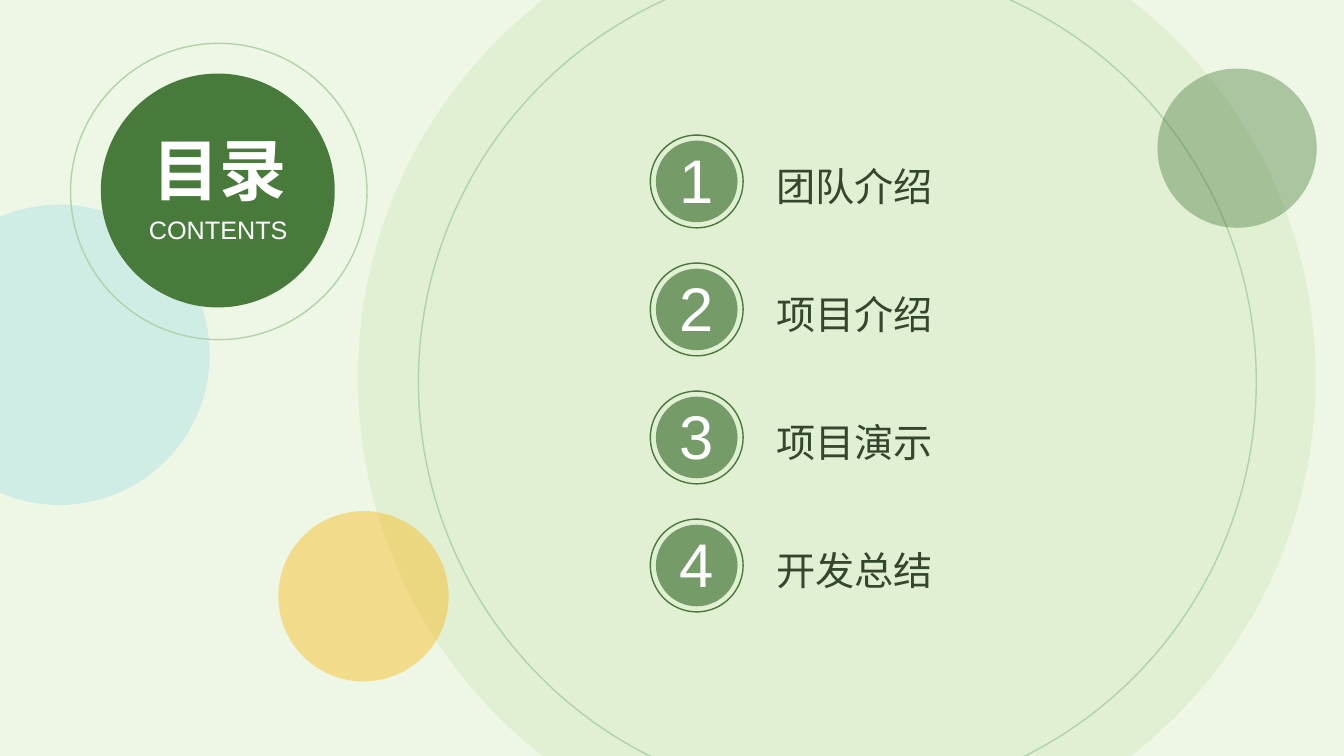
from lxml.etree import SubElement
from pptx import Presentation
from pptx.dml.color import RGBColor
from pptx.enum.shapes import MSO_SHAPE
from pptx.enum.text import MSO_AUTO_SIZE as AutoSize, PP_ALIGN as Align
from pptx.oxml.ns import qn
from pptx.util import Inches, Pt

TOPICS = ["团队介绍", "项目介绍", "项目演示", "开发总结"]
TITLE, SUBTITLE = "目录", "CONTENTS"

THEME = {
    "background": "EEF7E5", "pale": "CBE2B1", "outline": "B0D4A7", "aqua": "B3E5E6",
    "amber": "F9B407", "green": "487A3C", "ink": "33462E", "white": "FFFFFF",
    "latin": "Arial", "heading": "Montserrat", "chinese": "Noto Sans CJK JP",
    "title": 48, "number": 44, "topic": 28, "subtitle": 18, "line": 1,
}

DECORATIONS = [
    (3.55, -1, 9.5, {"fill": "pale", "opacity": 35}),
    (4.15, -0.37, 8.31, {"line": "outline"}),
    (-0.9, 2.03, 2.98, {"fill": "aqua", "opacity": 50}),
    (0.7, 0.43, 2.94, {"line": "outline"}),
    (2.76, 5.07, 1.69, {"fill": "amber", "opacity": 40}),
    (1, 0.73, 2.32, {"fill": "green"}),
    (11.48, 0.68, 1.58, {"fill": "green", "opacity": 40}),
]
ROW_TOP, ROW_PITCH = 1.34, 1.27
RING_LEFT, RING_SIZE, DISC_SIZE = 6.45, 0.92, 0.81
DISC_INSET = (RING_SIZE - DISC_SIZE) / 2


def color(name):
    return RGBColor.from_string(THEME[name])


def add_circle(shapes, left, top, size, fill=None, line=None, opacity=100):
    shape = shapes.add_shape(MSO_SHAPE.OVAL, *map(Inches, (left, top, size, size)))
    shape.shadow.inherit = False
    if fill:
        shape.fill.solid()
        shape.fill.fore_color.rgb = color(fill)
        if opacity < 100:
            fill_color = shape.fill._xPr.find(qn("a:solidFill"))[0]
            SubElement(fill_color, qn("a:alpha"), val=str(opacity * 1000))
    else:
        shape.fill.background()
    if line:
        shape.line.color.rgb = color(line)
        shape.line.width = Pt(THEME["line"])
    else:
        shape.line.fill.background()


def add_text(shapes, box, text, size, font, ink="white", bold=False,
             inset=True, paragraph_format=None):
    frame = shapes.add_textbox(*map(Inches, box)).text_frame
    frame_format = {"word_wrap": False, "auto_size": AutoSize.SHAPE_TO_FIT_TEXT}
    if not inset:
        frame_format.update({f"margin_{side}": 0 for side in ("left", "top", "right", "bottom")})
    paragraph = frame.paragraphs[0]
    run = paragraph.add_run()
    run.text = text
    font_format = {"name": THEME[font], "size": Pt(THEME[size]), "bold": bold}
    for target, values in (
        (frame, frame_format),
        (paragraph, paragraph_format or {"alignment": Align.CENTER}),
        (run.font, font_format),
    ):
        for name, value in values.items():
            setattr(target, name, value)
    run.font.color.rgb = color(ink)
    SubElement(run.font._element, qn("a:ea"), typeface=THEME["chinese"])


def add_topic(shapes, number, topic):
    top = ROW_TOP + (number - 1) * ROW_PITCH
    add_text(shapes, (7.7, top + 0.22, 1.56, 0.52), topic, "topic", "chinese",
             ink="ink", inset=False,
             paragraph_format={"alignment": Align.LEFT, "line_spacing": 1.1})
    badge = shapes.add_group_shape().shapes
    add_circle(badge, RING_LEFT + DISC_INSET, top + DISC_INSET, DISC_SIZE,
               fill="green", opacity=70)
    add_circle(badge, RING_LEFT, top, RING_SIZE, line="green")
    add_text(shapes, (6.63, top + 0.02, 0.55, 0.84), str(number), "number", "latin")


def main():
    presentation = Presentation()
    presentation.slide_width, presentation.slide_height = Inches(13.33), Inches(7.5)
    slide = presentation.slides.add_slide(presentation.slide_layouts[6])
    slide.background.fill.solid()
    slide.background.fill.fore_color.rgb = color("background")
    for left, top, size, style in DECORATIONS:
        add_circle(slide.shapes, left, top, size, **style)
    for number, topic in enumerate(TOPICS, 1):
        add_topic(slide.shapes, number, topic)
    add_text(slide.shapes, (1.5, 1.27, 1.35, 0.81), TITLE, "title", "heading",
             bold=True, inset=False)
    add_text(slide.shapes, (1.37, 2.08, 1.59, 0.4), SUBTITLE, "subtitle", "latin")
    presentation.save("out.pptx")


if __name__ == "__main__":
    main()
